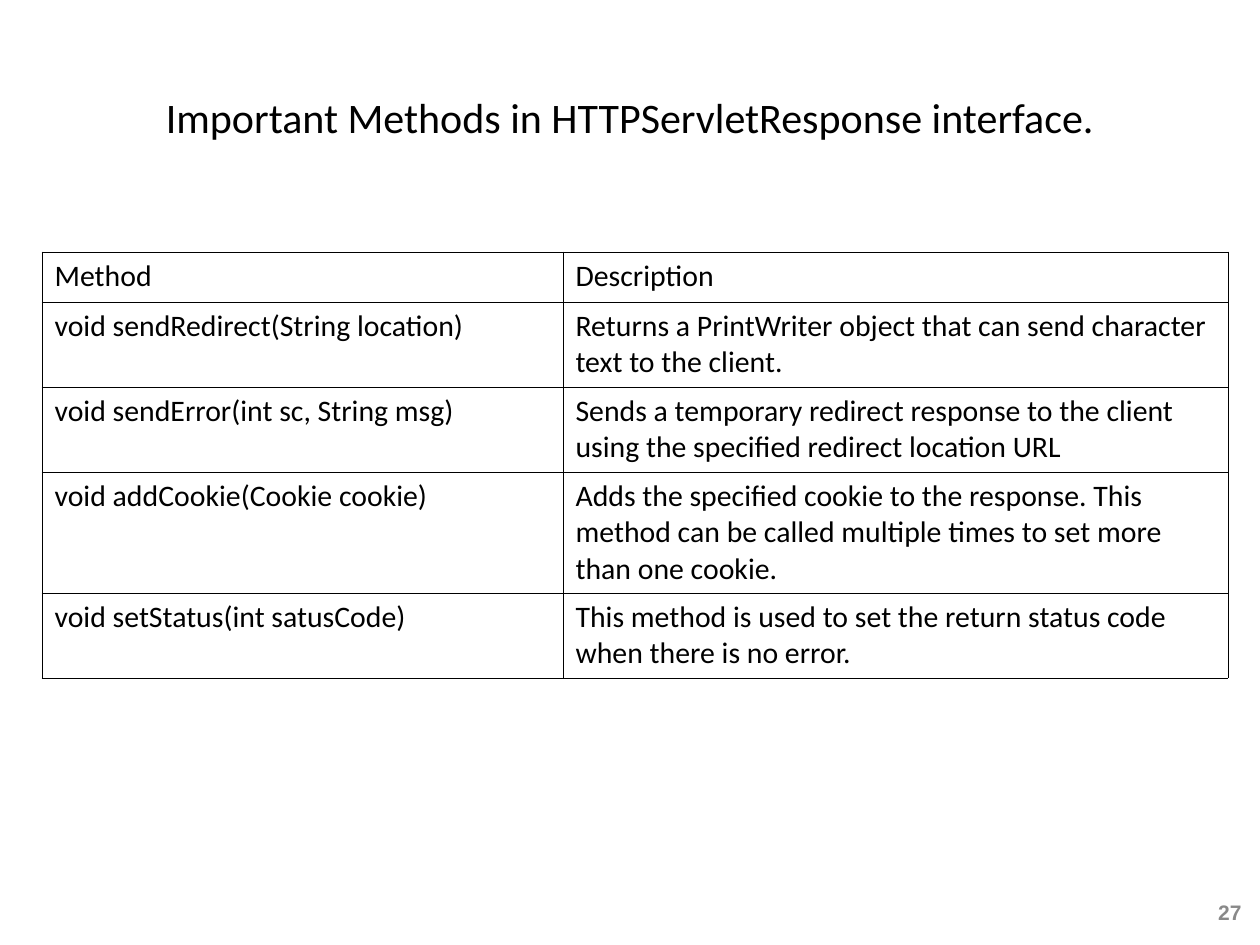
import pptx
import pptx.util
import pptx.dml.color
import pptx.enum.text
import pptx.oxml
import pptx.oxml.ns

COLORS = {"text": "000000", "page": "898989", "line": "000000"}
TITLE = "Important Methods in HTTPServletResponse interface."
PAGE = "27"
ROWS = [
    ("Method", "Description"),
    ("void sendRedirect(String location)",
     "Returns a PrintWriter object that can send character text to the client."),
    ("void sendError(int sc, String msg)",
     "Sends a temporary redirect response to the client using the specified "
     "redirect location URL"),
    ("void addCookie(Cookie cookie)",
     "Adds the specified cookie to the response. This method can be called "
     "multiple times to set more than one cookie."),
    ("void setStatus(int satusCode)",
     "This method is used to set the return status code when there is no error."),
]
WIDTHS = [521, 665]
HEIGHTS = [50, 85, 85, 121, 85]
LEFT, TOP = 42, 252
PX = 914400 // 126

ALIGN = pptx.enum.text.PP_ALIGN
FORMATS = {
    "title": {"name": "Calibri", "size": 24, "color": "text", "align": ALIGN.CENTER},
    "page": {"name": "Arial", "size": 12, "color": "page", "bold": True,
             "align": ALIGN.RIGHT},
    "cell": {"name": "Calibri", "size": 17, "color": "text", "align": ALIGN.LEFT},
}


def px(n):
    return pptx.util.Emu(n * PX)


def write(frame, text, kind):
    style = FORMATS[kind]
    para = frame.paragraphs[0]
    para.alignment = style["align"]
    run = para.add_run()
    run.text = text
    values = {"name": style["name"], "size": pptx.util.Pt(style["size"]),
              "bold": style.get("bold", False)}
    for key, value in values.items():
        setattr(run.font, key, value)
    run.font.color.rgb = pptx.dml.color.RGBColor.from_string(COLORS[style["color"]])


def label(slide, text, kind, *box):
    frame = slide.shapes.add_textbox(*map(px, box)).text_frame
    frame.word_wrap = True
    frame.vertical_anchor = pptx.enum.text.MSO_ANCHOR.MIDDLE
    write(frame, text, kind)


def border(cell):
    props = cell._tc.get_or_add_tcPr()
    for spot, side in enumerate(("lnL", "lnR", "lnT", "lnB")):
        props.insert(spot, pptx.oxml.parse_xml(
            f'<a:{side} {pptx.oxml.ns.nsdecls("a")} w="{pptx.util.Pt(0.45)}">'
            f'<a:solidFill><a:srgbClr val="{COLORS["line"]}"/></a:solidFill>'
            f'</a:{side}>'))


def grid(slide):
    box = (LEFT, TOP, sum(WIDTHS), sum(HEIGHTS))
    table = slide.shapes.add_table(len(ROWS), len(WIDTHS), *map(px, box)).table
    table.first_row = table.horz_banding = False
    for col, width in zip(table.columns, WIDTHS):
        col.width = px(width)
    for row, height, texts in zip(table.rows, HEIGHTS, ROWS):
        row.height = px(height)
        for cell, text in zip(row.cells, texts):
            cell.fill.background()
            border(cell)
            write(cell.text_frame, text, "cell")


def main():
    deck = pptx.Presentation()
    deck.slide_width, deck.slide_height = px(1260), px(945)
    slide = deck.slides.add_slide(deck.slide_layouts[6])
    label(slide, TITLE, "title", 63, 38, 1134, 158)
    label(slide, PAGE, "page", 1192, 890, 62, 44)
    grid(slide)
    deck.save("out.pptx")


if __name__ == "__main__":
    main()
